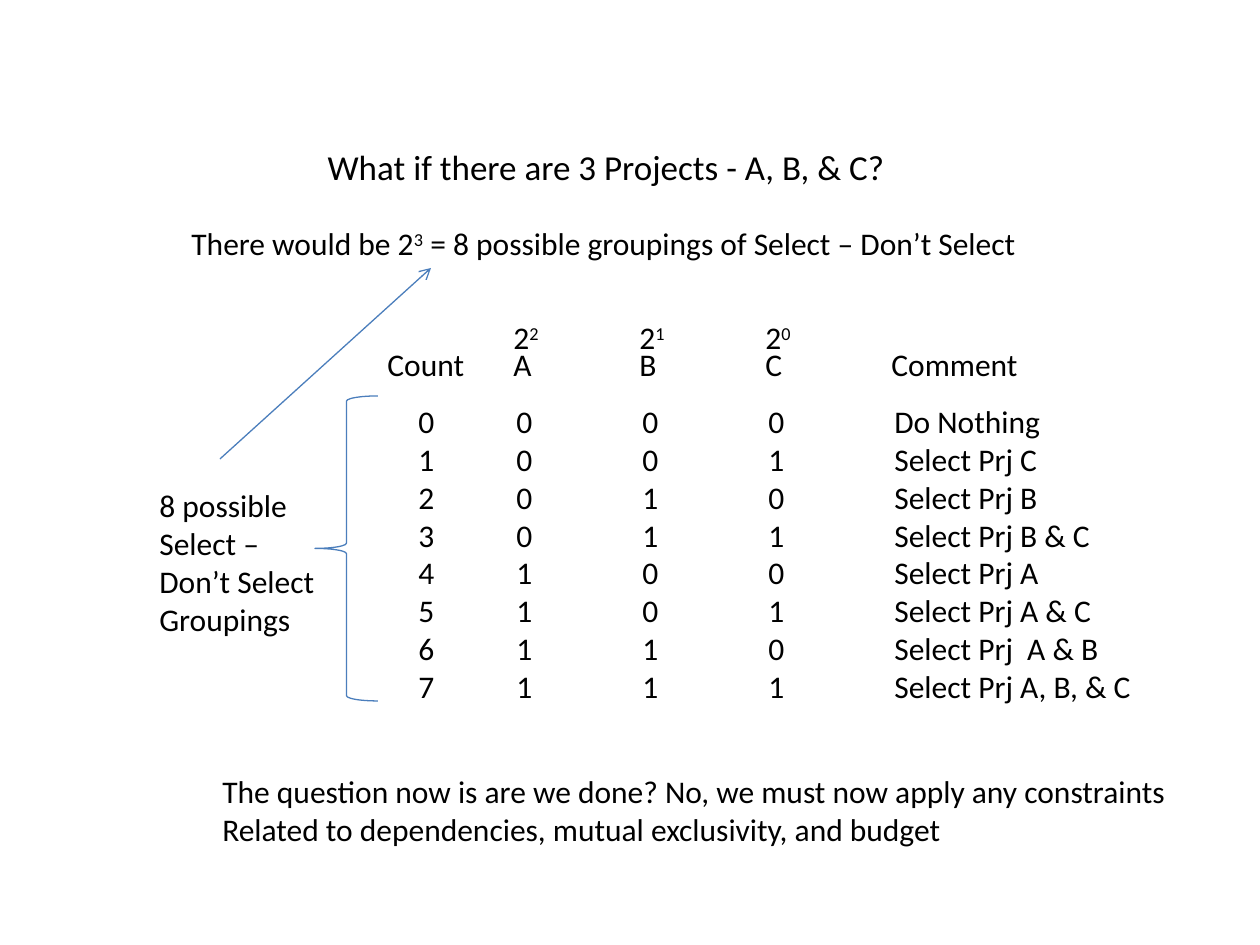
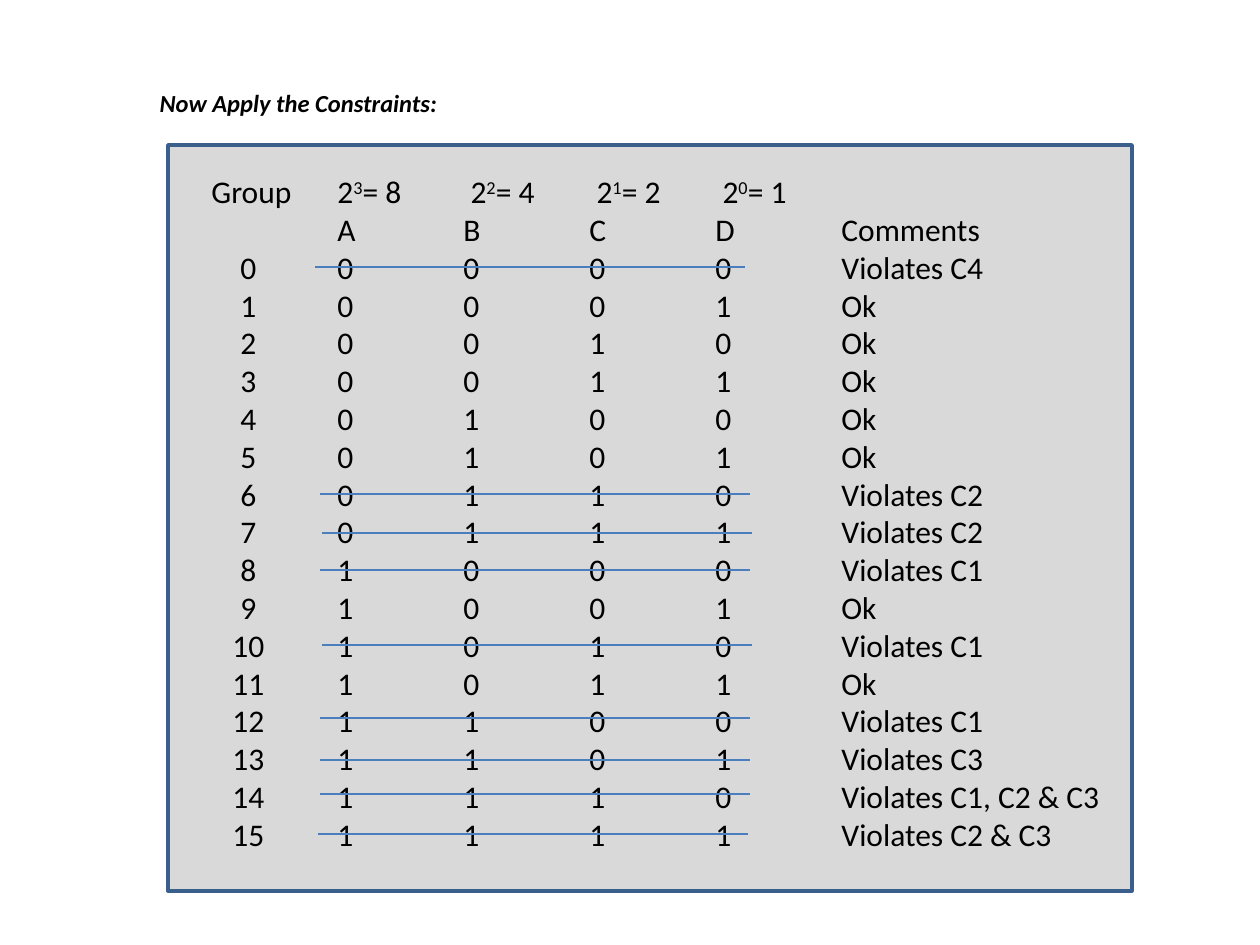
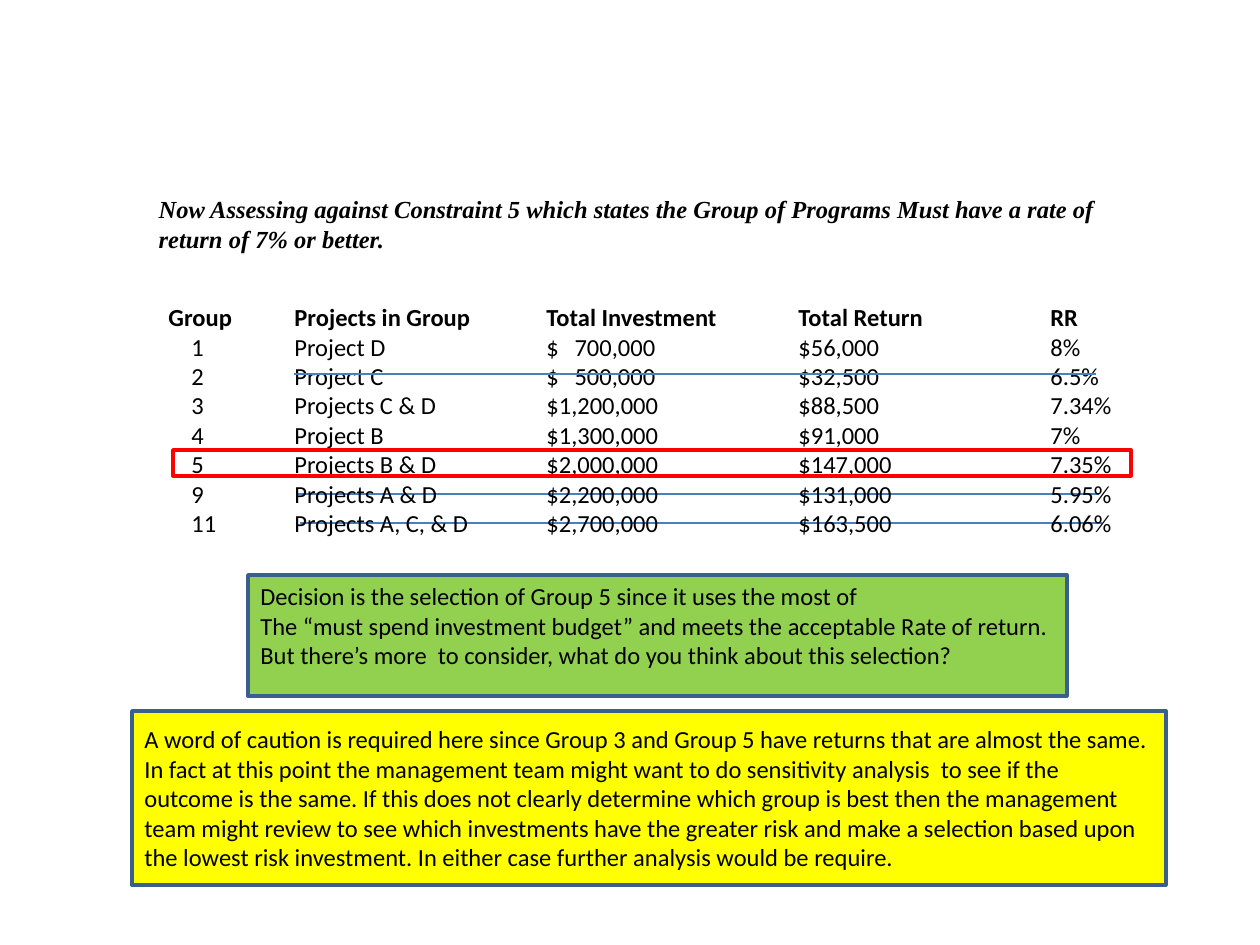
"""Build three slides on selecting groups of projects under constraints."""
from dataclasses import dataclass
from typing import Optional

from lxml.etree import SubElement
from pptx import Presentation
from pptx.dml.color import RGBColor
from pptx.enum.shapes import MSO_CONNECTOR, MSO_SHAPE
from pptx.enum.text import MSO_ANCHOR, MSO_AUTO_SIZE, PP_ALIGN
from pptx.oxml.ns import qn
from pptx.util import Pt

EMU_PER_PIXEL = 914400 / 126
COLUMN = 126
TITLE_ONLY = 5
COLORS = {
    "text": "000000",
    "line": "4B7EBC",
    "border": "3A5F8C",
    "panel": "D9D9D9",
    "decision": "92D050",
    "caution": "FFFF00",
    "highlight": "FF0000",
}


@dataclass(frozen=True)
class Box:
    left: int
    top: int
    width: int
    height: int

    def emu(self) -> list[int]:
        return [px(n) for n in (self.left, self.top, self.width, self.height)]


@dataclass(frozen=True)
class Style:
    size: int
    font: str = "Calibri"
    emphasis: bool = False


@dataclass(frozen=True)
class Tab:
    position: int
    align: str = "l"


@dataclass(frozen=True)
class Strike:
    start: int
    end: int
    y: int


BODY = Style(18)
SMALL = Style(14)


def px(pixels: float) -> int:
    return round(pixels * EMU_PER_PIXEL)


def rgb(name: str) -> RGBColor:
    return RGBColor.from_string(COLORS[name])


def columns(first: int, count: int, step: int = COLUMN) -> list[Tab]:
    return [Tab(first + step * index) for index in range(count)]


def add_runs(paragraph, text: str) -> None:
    """Add text in which carets enclose superscripts."""
    for index, part in enumerate(text.split("^")):
        if part:
            run = paragraph.add_run()
            run.text = part
            if index % 2:
                run._r.get_or_add_rPr().set("baseline", "30000")


def write(shape, lines: list[str], style: Style, tabs: Optional[list[Tab]] = None,
          wrap: bool = True, anchor=MSO_ANCHOR.TOP) -> None:
    frame = shape.text_frame
    frame.word_wrap = wrap
    frame.vertical_anchor = anchor
    for index, line in enumerate(lines):
        paragraph = frame.add_paragraph() if index else frame.paragraphs[0]
        paragraph.alignment = PP_ALIGN.LEFT
        if tabs:
            tab_list = SubElement(paragraph._p.get_or_add_pPr(), qn("a:tabLst"))
            for tab in tabs:
                SubElement(tab_list, qn("a:tab"), pos=str(px(tab.position)), algn=tab.align)
        add_runs(paragraph, line)
        font = paragraph.font
        font.size = Pt(style.size)
        font.name = style.font
        font.bold = font.italic = style.emphasis
        font.color.rgb = rgb("text")


def add_text(slide, box: Box, lines: list[str], style: Style = BODY,
             tabs: Optional[list[Tab]] = None, wrap: bool = False):
    shape = slide.shapes.add_textbox(*box.emu())
    write(shape, lines, style, tabs, wrap)
    shape.text_frame.auto_size = MSO_AUTO_SIZE.SHAPE_TO_FIT_TEXT
    return shape


def add_slide(presentation, title: str, box: Box, style: Style, wrap: bool = True):
    slide = presentation.slides.add_slide(presentation.slide_layouts[TITLE_ONLY])
    shape = slide.shapes.title
    shape.left, shape.top, shape.width, shape.height = box.emu()
    write(shape, [title], style, wrap=wrap)
    shape.text_frame.auto_size = MSO_AUTO_SIZE.SHAPE_TO_FIT_TEXT
    return slide


def add_outline(slide, kind, box: Box, line: str = "border", width: float = 2,
                fill: Optional[str] = None):
    shape = slide.shapes.add_shape(kind, *box.emu())
    shape.shadow.inherit = False
    if fill:
        shape.fill.solid()
        shape.fill.fore_color.rgb = rgb(fill)
    else:
        shape.fill.background()
    shape.line.color.rgb = rgb(line)
    shape.line.width = Pt(width)
    return shape


def add_line(slide, start: tuple[int, int], end: tuple[int, int], arrow: bool = False) -> None:
    points = [px(n) for n in (*start, *end)]
    connector = slide.shapes.add_connector(MSO_CONNECTOR.STRAIGHT, *points)
    connector.line.color.rgb = rgb("line")
    connector.line.width = Pt(0.75)
    if arrow:
        SubElement(connector.line._get_or_add_ln(), qn("a:tailEnd"), type="arrow")
    SubElement(connector._element.spPr, qn("a:effectLst"))


def add_strikes(slide, strikes: list[Strike]) -> None:
    for strike in strikes:
        add_line(slide, (strike.start, strike.y), (strike.end, strike.y))


def binary_rows(digits: int, comments: list[str]) -> list[str]:
    """Number the comments and spell each number in binary, tab separated."""
    return ["\t".join(["", str(number), *f"{number:0{digits}b}", comment])
            for number, comment in enumerate(comments)]


def build_groupings(presentation) -> None:
    slide = add_slide(presentation, "What if there are 3 Projects - A, B, & C?",
                      Box(315, 139, 587, 55), Style(20), wrap=False)
    add_text(slide, Box(375, 339, 662, 50), ["Count\tA\tB\tC\tComment"], tabs=columns(COLUMN, 4))
    add_text(slide, Box(501, 312, 307, 50), ["2^2^\t2^1^\t2^0^"], tabs=columns(COLUMN, 2))
    add_text(slide, Box(179, 218, 862, 50),
             ["There would be 2^3^ = 8 possible groupings of Select – Don’t Select"])
    comments = ["Do Nothing", "Select Prj C", "Select Prj B", "Select Prj B & C",
                "Select Prj A", "Select Prj A & C", "Select Prj  A & B", "Select Prj A, B, & C"]
    add_text(slide, Box(378, 396, 774, 318), binary_rows(3, comments),
             tabs=[Tab(36, "ctr"), *columns(COLUMN, 4)])
    add_outline(slide, MSO_SHAPE.LEFT_BRACE, Box(315, 396, 63, 305), "line", 0.75)
    add_text(slide, Box(147, 480, 183, 165),
             ["8 possible", "Select –", "Don’t Select", "Groupings"])
    add_line(slide, (220, 459), (431, 268), arrow=True)
    add_text(slide, Box(210, 766, 980, 89),
             ["The question now is are we done? No, we must now apply any constraints",
              "Related to dependencies, mutual exclusivity, and budget"])


def build_constraints(presentation) -> None:
    slide = add_slide(presentation, "Now Apply the Constraints:",
                      Box(147, 82, 984, 72), Style(14, emphasis=True))
    add_outline(slide, MSO_SHAPE.RECTANGLE, Box(168, 145, 964, 746), fill="panel")
    comments = ["Violates C4", *["Ok"] * 5, "Violates C2", "Violates C2", "Violates C1", "Ok",
                "Violates C1", "Ok", "Violates C1", "Violates C3", "Violates C1, C2 & C3",
                "Violates C2 & C3"]
    header = ["Group\t2^3^= 8\t 2^2^= 4\t 2^1^= 2\t 2^0^= 1", "\t\tA\tB\tC\tD\tComments"]
    add_text(slide, Box(199, 166, 965, 699), header + binary_rows(4, comments),
             tabs=[Tab(37, "ctr"), *columns(COLUMN, 5)], wrap=True)
    starts = [(315, 267), (320, 494), (322, 533), (320, 570), (322, 645),
              (320, 718), (320, 760), (320, 794), (318, 834)]
    add_strikes(slide, [Strike(left, left + 430, y) for left, y in starts])


def build_assessment(presentation) -> None:
    slide = add_slide(
        presentation,
        "Now Assessing against Constraint 5 which states the Group of Programs "
        "Must have a rate of return of 7% or better.",
        Box(146, 188, 1005, 72), Style(14, "Times New Roman", emphasis=True))
    add_strikes(slide, [Strike(1102, 300, 523), Strike(1099, 296, 494)])
    rows = [
        ("Group", "Projects in Group", "Total Investment", "Total Return", "RR"),
        ("\t1", "Project D", "$\t700,000", "$56,000", "8%"),
        ("\t2", "Project C", "$\t500,000", "$32,500", "6.5%"),
        ("\t3", "Projects C & D", "$1,200,000", "$88,500", "7.34%"),
        ("\t4", "Project B", "$1,300,000", "$91,000", "7%"),
        ("\t5", "Projects B & D", "$2,000,000", "$147,000", "7.35%"),
        ("\t9", "Projects A & D", "$2,200,000", "$131,000", "5.95%"),
        ("\t11", "Projects A, C, & D", "$2,700,000", "$163,500", "6.06%"),
    ]
    stops = [Tab(23), *columns(COLUMN, 2, 2 * COLUMN), Tab(487, "r"),
             *columns(5 * COLUMN, 2, 2 * COLUMN)]
    table = add_text(slide, Box(156, 296, 1077, 251), ["\t".join(row) for row in rows],
                     SMALL, stops)
    table.text_frame.paragraphs[0].font.bold = True
    add_strikes(slide, [Strike(1096, 294, 374)])
    add_outline(slide, MSO_SHAPE.RECTANGLE, Box(248, 575, 819, 121), fill="decision")
    add_text(slide, Box(248, 575, 819, 102),
             ["Decision is the selection of Group 5 since it uses the most of",
              "The “must spend investment budget” and meets the acceptable Rate of return. "
              "But there’s more  to consider, what do you think about this selection?"],
             SMALL, wrap=True)
    caution = add_outline(slide, MSO_SHAPE.RECTANGLE, Box(132, 711, 1034, 174), fill="caution")
    write(caution,
          ["A word of caution is required here since Group 3 and Group 5 have returns that are "
           "almost the same. In fact at this point the management team might want to do "
           "sensitivity analysis  to see if the outcome is the same. If this does not clearly "
           "determine which group is best then the management team might review to see which "
           "investments have the greater risk and make a selection based upon the lowest risk "
           "investment. In either case further analysis would be require."],
          SMALL, anchor=MSO_ANCHOR.MIDDLE)
    add_outline(slide, MSO_SHAPE.RECTANGLE, Box(173, 450, 958, 26), "highlight")


def main() -> None:
    presentation = Presentation()
    presentation.slide_width, presentation.slide_height = px(1260), px(945)
    build_groupings(presentation)
    build_constraints(presentation)
    build_assessment(presentation)
    presentation.save("out.pptx")


main()
